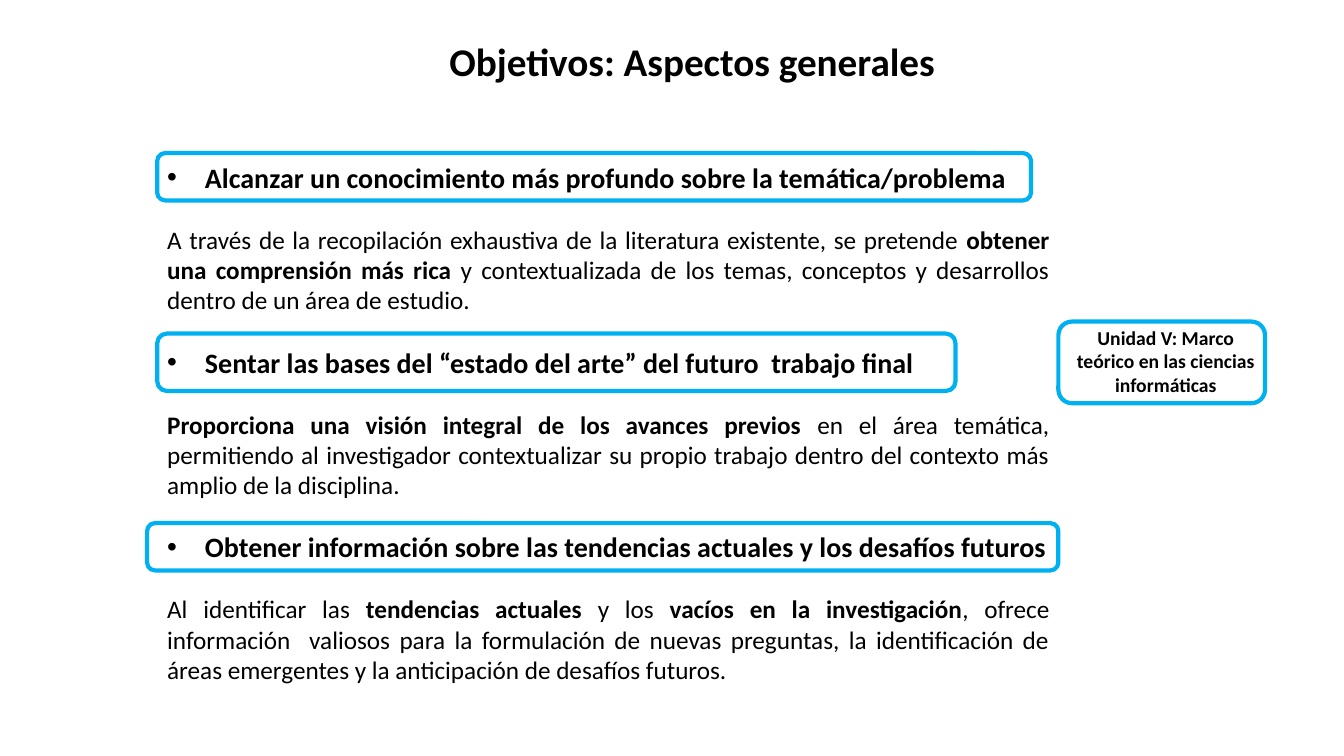
from lxml.etree import SubElement
from pptx import Presentation
from pptx.dml.color import RGBColor
from pptx.enum.shapes import MSO_SHAPE as Shape
from pptx.enum.text import MSO_ANCHOR as Anchor, MSO_AUTO_SIZE as AutoSize, PP_ALIGN as Align
from pptx.oxml.ns import qn
from pptx.util import Pt

FONT = "Calibri"
BLACK = "000000"
SKY = "00B0F0"
LINE_GAP = 21.6

OBJECTIVES = [
    ("Alcanzar un conocimiento más profundo sobre la temática/problema",
     [("A través de la recopilación exhaustiva de la literatura existente, se pretende ", False),
      ("obtener una comprensión más rica ", True),
      ("y contextualizada de los temas, conceptos y desarrollos dentro de un área de estudio.", False)]),
    ("Sentar las bases del “estado del arte” del futuro  trabajo final",
     [("Proporciona una visión integral de los avances previos ", True),
      ("en el área temática, permitiendo al investigador contextualizar su propio trabajo "
       "dentro del contexto más amplio de la disciplina.", False)]),
    ("Obtener información sobre las tendencias actuales y los desafíos futuros",
     [("Al identificar las ", False),
      ("tendencias actuales ", True),
      ("y los ", False),
      ("vacíos en la investigación", True),
      (", ofrece información  valiosos para la formulación de nuevas preguntas, la identificación "
       "de áreas emergentes y la anticipación de desafíos futuros.", False)]),
]

FRAMES = [
    (112.3, 109.4, 624.2, 33.8),
    (112.3, 238.3, 570.2, 41),
    (105.1, 373.7, 650.9, 33.8),
    (756, 229.7, 147.6, 58.3),
]


def color(value):
    return RGBColor.from_string(value)


def style(paragraph, size, align, bold=None):
    paragraph.alignment = align
    font = paragraph.font
    font.name, font.size, font.bold = FONT, Pt(size), bold
    font.color.rgb = color(BLACK)


def add_text_box(slide, left, top, width, height):
    frame = slide.shapes.add_textbox(Pt(left), Pt(top), Pt(width), Pt(height)).text_frame
    frame.word_wrap = True
    return frame


def add_bullet(paragraph):
    properties = paragraph._p.get_or_add_pPr()
    properties.set("marL", str(Pt(27)))
    properties.set("indent", str(Pt(-27)))
    SubElement(properties, qn("a:buFont"), typeface="Arial")
    SubElement(properties, qn("a:buChar"), char="•")


def add_objectives(slide):
    frame = add_text_box(slide, 112.3, 110.9, 644.4, 385.2)
    for index, (goal, details) in enumerate(OBJECTIVES):
        heading = frame.add_paragraph() if index else frame.paragraphs[0]
        heading.text = goal
        heading.space_after = Pt(LINE_GAP)
        add_bullet(heading)
        style(heading, 20, Align.JUSTIFY, True)

        body = frame.add_paragraph()
        if index < len(OBJECTIVES) - 1:
            body.space_after = Pt(LINE_GAP)
        style(body, 18, Align.JUSTIFY)
        for text, bold in details:
            run = body.add_run()
            run.text = text
            run.font.bold = bold


def add_frame(slide, left, top, width, height):
    outline = slide.shapes.add_shape(
        Shape.ROUNDED_RECTANGLE, Pt(left), Pt(top), Pt(width), Pt(height))
    outline.shadow.inherit = False
    outline.fill.background()
    outline.line.color.rgb = color(SKY)
    outline.line.width = Pt(3)


def set_title(slide, text):
    title = slide.shapes.title
    title.left, title.top, title.width, title.height = Pt(291.6), Pt(23), Pt(405.4), Pt(41)
    frame = title.text_frame
    frame.text = text
    frame.auto_size = AutoSize.NONE
    frame.vertical_anchor = Anchor.TOP
    style(frame.paragraphs[0], 28, Align.CENTER, True)


def add_unit_label(slide, text):
    frame = add_text_box(slide, 758.9, 229, 147.6, 58.3)
    frame.text = text
    style(frame.paragraphs[0], 14, Align.CENTER, True)


def main():
    deck = Presentation()
    deck.slide_width, deck.slide_height = Pt(960), Pt(540)
    slide = deck.slides.add_slide(deck.slide_layouts[5])
    set_title(slide, "Objetivos: Aspectos generales")
    add_objectives(slide)
    add_unit_label(slide, "Unidad V: Marco teórico en las ciencias informáticas")
    for bounds in FRAMES:
        add_frame(slide, *bounds)
    deck.save("out.pptx")


if __name__ == "__main__":
    main()
